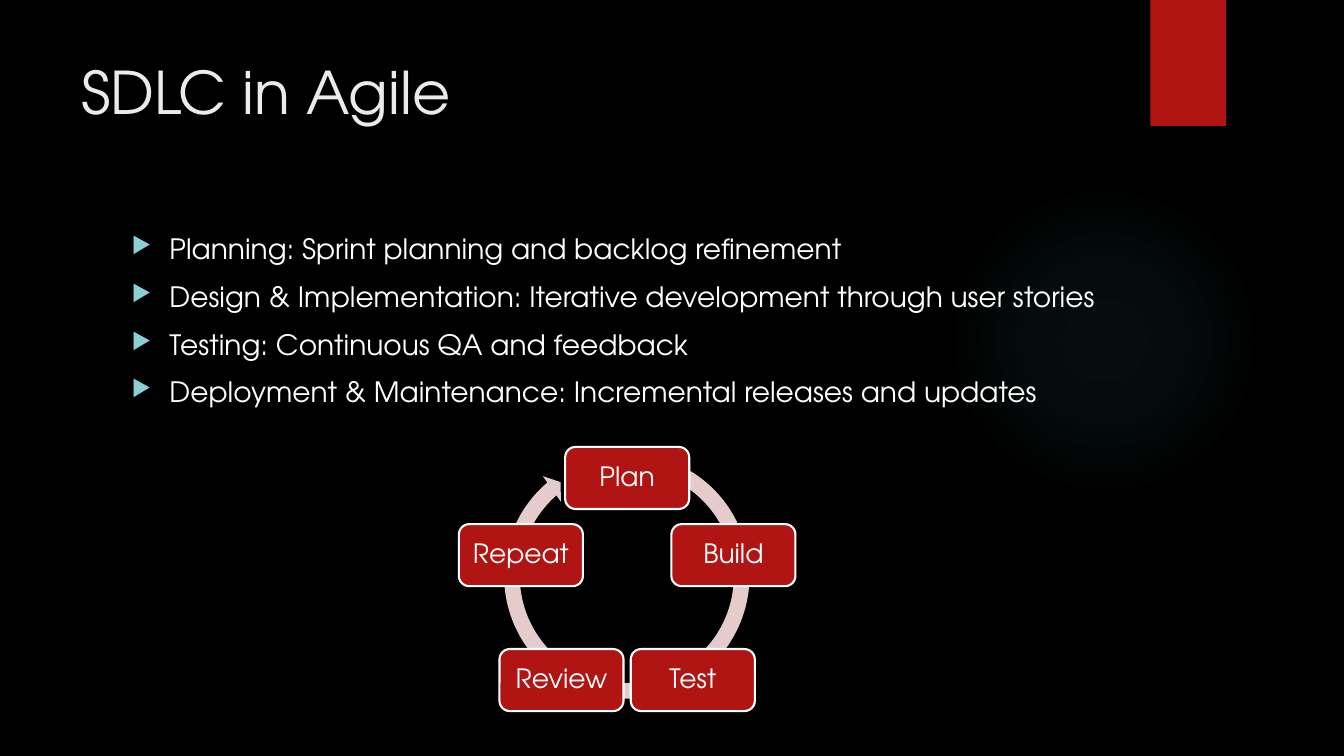
"""Build the slide on the software life cycle in Agile."""
from math import cos, radians, sin

from pptx import Presentation
from pptx import util as u
from pptx.dml import color
from pptx.enum import shapes, text
from pptx.oxml import ns, parse_xml

RED, WHITE, TEAL = "B01513", "FFFFFF", "8AD0D6"
KINDS = shapes.MSO_SHAPE


def rgb(code):
    return color.RGBColor.from_string(code)


class Deck:
    def __init__(self, wide, high, back, font):
        self.prs = Presentation()
        self.prs.slide_width, self.prs.slide_height = u.Pt(wide), u.Pt(high)
        self.slide = self.prs.slides.add_slide(self.prs.slide_layouts[6])
        self.slide.background.fill.solid()
        self.slide.background.fill.fore_color.rgb = rgb(back)
        self.font = font

    def run(self, para, words, size, ink):
        run = para.add_run()
        run.text = words
        run.font.name, run.font.size = self.font, u.Pt(size)
        run.font.color.rgb = rgb(ink)

    def shape(self, kind, box, fill=None, line=None):
        item = self.slide.shapes.add_shape(kind, *map(u.Pt, box))
        item.shadow.inherit = False
        if fill:
            item.fill.solid()
            item.fill.fore_color.rgb = rgb(fill)
        else:
            item.fill.background()
        if line:
            item.line.color.rgb = rgb(line)
            item.line.width = u.Pt(1.5)
        else:
            item.line.fill.background()
        return item

    def glow(self, box, ink, stops):
        props = self.shape(KINDS.OVAL, box).element.spPr
        marks = "".join(
            f'<a:gs pos="{pos * 1000}"><a:srgbClr val="{ink}">'
            f'<a:alpha val="{alpha * 1000}"/></a:srgbClr></a:gs>'
            for pos, alpha in stops)
        fill = parse_xml(
            f'<a:gradFill {ns.nsdecls("a")}><a:gsLst>{marks}</a:gsLst>'
            '<a:path path="circle"><a:fillToRect l="50000" t="50000" '
            'r="50000" b="50000"/></a:path></a:gradFill>')
        props.replace(props.find(ns.qn("a:noFill")), fill)

    def ring(self, box, fill, turns):
        item = self.shape(KINDS.CIRCULAR_ARROW, box, fill)
        for i, turn in enumerate(turns):
            item.adjustments[i] = turn

    def label(self, box, words, size):
        item = self.shape(KINDS.ROUNDED_RECTANGLE, box, RED, WHITE)
        frame = item.text_frame
        frame.word_wrap = True
        frame.vertical_anchor = text.MSO_ANCHOR.MIDDLE
        frame.margin_left = frame.margin_right = u.Pt(6)
        frame.margin_top = frame.margin_bottom = u.Pt(6)
        para = frame.paragraphs[0]
        para.alignment = text.PP_ALIGN.CENTER
        para.line_spacing = 0.9
        self.run(para, words, size, WHITE)

    def frame(self, box):
        frame = self.slide.shapes.add_textbox(*map(u.Pt, box)).text_frame
        frame.word_wrap = True
        return frame

    def title(self, box, words, size, ink):
        self.run(self.frame(box).paragraphs[0], words, size, ink)

    def list(self, box, lines, size, dent):
        frame = self.frame(box)
        for i, words in enumerate(lines):
            para = frame.add_paragraph() if i else frame.paragraphs[0]
            para.space_before = u.Pt(10)
            props = para._p.get_or_add_pPr()
            props.set("marL", str(u.Pt(dent)))
            props.set("indent", str(-u.Pt(dent)))
            for part in (f'buClr {{}}><a:srgbClr val="{TEAL}"/></a:buClr>',
                         'buSzPct {} val="80000"/>',
                         'buChar {} char="▶"/>'):
                props.append(parse_xml("<a:" + part.format(ns.nsdecls("a"))))
            self.run(para, words, size, WHITE)

    def cycle(self, mid, reach, size, steps):
        wide, high = size
        for i, step in enumerate(steps):
            turn = radians(360 / len(steps) * i)
            left = mid[0] + reach * sin(turn) - wide / 2
            top = mid[1] - reach * cos(turn) - high / 2
            self.label((left, top, wide, high), step, 19)


def main():
    deck = Deck(960, 540, "000000", "TeX Gyre Adventor")
    deck.glow((677.5, 131.8, 221.8, 221.8), "50B9C1",
              [(0, 7), (36, 6), (69, 0)])
    deck.shape(KINDS.RECTANGLE, (821.8, 0, 54, 90), RED)
    deck.title((51, 36, 741, 110), "SDLC in Agile", 42, "EBEBEB")
    deck.list((87, 162, 704, 330.5), [
        "Planning: Sprint planning and backlog refinement",
        "Design & Implementation: Iterative development through user stories",
        "Testing: Continuous QA and feedback",
        "Deployment & Maintenance: Incremental releases and updates",
    ], 20, 27)
    deck.ring((354.5, 318.2, 186.5, 186.5), "E4CCCC",
              (0.06, 3.31, 137.56, 173.98, 0.06))
    deck.cycle((448, 421.2), 79.8, (88.6, 44.3),
               ["Plan", "Build", "Test", "Review", "Repeat"])
    deck.prs.save("out.pptx")


if __name__ == "__main__":
    main()
